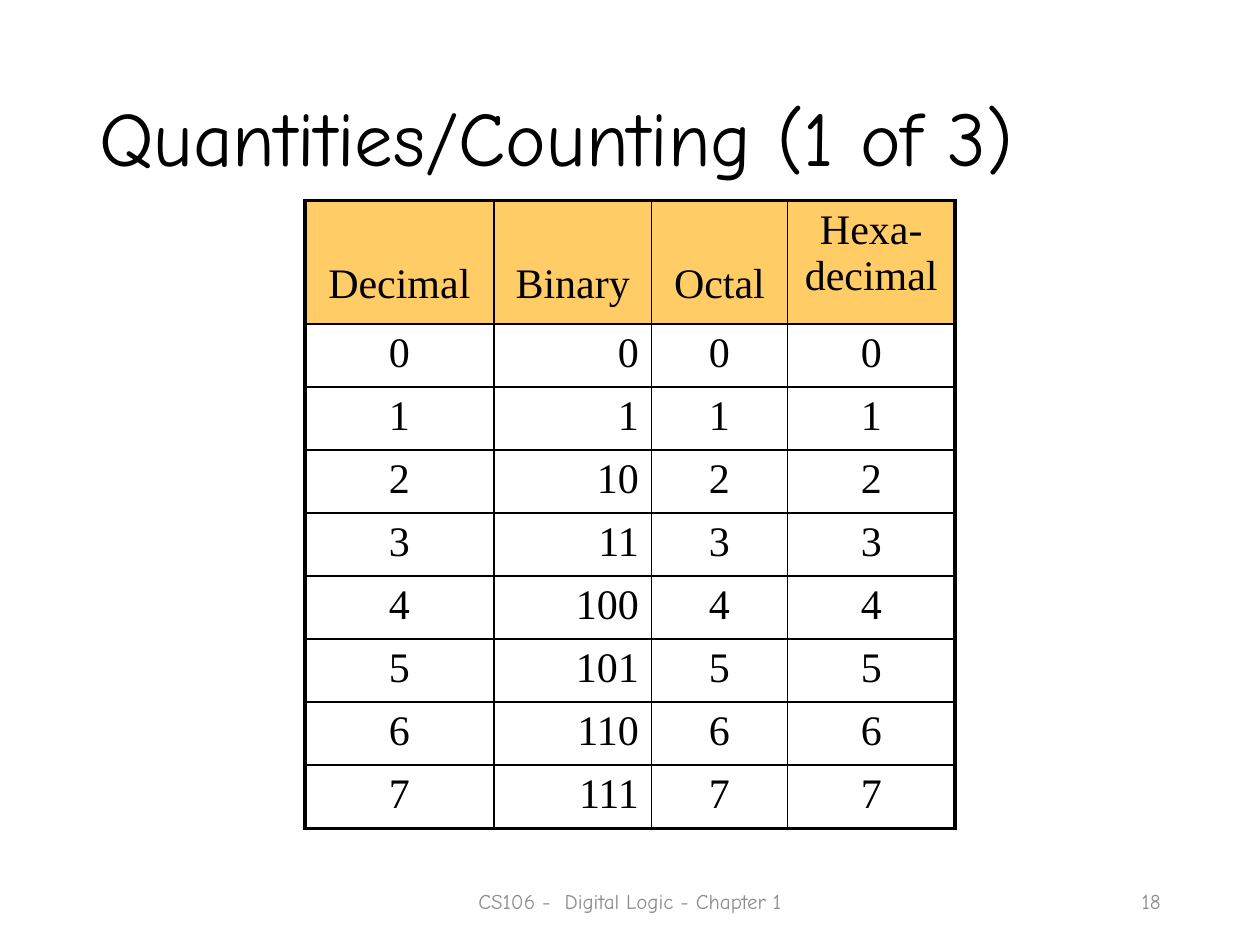
import lxml.etree
import pptx
import pptx.dml.color
import pptx.enum.text
import pptx.oxml.ns
import pptx.util

Inches = pptx.util.Inches
Align = pptx.enum.text.PP_ALIGN
Anchor = pptx.enum.text.MSO_ANCHOR


def color(hex_string):
    return pptx.dml.color.RGBColor.from_string(hex_string)


def write_text(frame, text, size, font="Comic Neue", fill="000000",
               align=Align.LEFT, line_spacing=1.0):
    """Fill the first paragraph of a text frame; a line feed breaks the line."""
    frame.word_wrap = True
    para = frame.paragraphs[0]
    para.text = text
    para.alignment = align
    para.line_spacing = line_spacing
    for span in para.runs:
        span.font.size = pptx.util.Pt(size)
        span.font.name = font
        span.font.color.rgb = color(fill)


deck = pptx.Presentation()
deck.slide_width = Inches(10)
deck.slide_height = Inches(7.5)
page = deck.slides.add_slide(deck.slide_layouts[6])

# Title and footer
footer = {"size": 12, "fill": "8C8C8C"}
text_boxes = [
    ((0.69, 0.4, 8.62, 1.45), "Quantities/Counting (1 of 3)",
     {"size": 44, "line_spacing": 0.9}),
    ((3.31, 6.95, 3.38, 0.4), "CS106 -  Digital Logic - Chapter 1",
     {**footer, "align": Align.CENTER}),
    ((7.06, 6.95, 2.25, 0.4), "18", {**footer, "align": Align.RIGHT}),
]
for place, text, text_format in text_boxes:
    box = page.shapes.add_textbox(*[Inches(length) for length in place])
    box.text_frame.vertical_anchor = Anchor.MIDDLE
    write_text(box.text_frame, text, **text_format)

# Counting table
column_widths = [1.5, 1.25, 1.08, 1.33]
row_heights = [0.98] + [0.5] * 8
rows = [["Decimal", "Binary", "Octal", "Hexa-\ndecimal"]]
rows += [[str(n), f"{n:b}", f"{n:o}", f"{n:X}"] for n in range(8)]
last_row, last_column = len(rows) - 1, len(column_widths) - 1

table = page.shapes.add_table(
    len(rows), len(column_widths), Inches(2.42), Inches(1.59),
    Inches(sum(column_widths)), Inches(sum(row_heights))).table
table.first_row = False
table.horz_banding = False
for column, width in zip(table.columns, column_widths):
    column.width = Inches(width)
for row, height in zip(table.rows, row_heights):
    row.height = Inches(height)

for r, values in enumerate(rows):
    for c, value in enumerate(values):
        cell = table.cell(r, c)
        is_header = r == 0
        is_binary_number = c == 1 and not is_header
        write_text(cell.text_frame, value, size=24, font="Times New Roman",
                   align=Align.RIGHT if is_binary_number else Align.CENTER)
        if is_header:
            cell.fill.solid()
            cell.fill.fore_color.rgb = color("FFCC66")
        else:
            cell.fill.background()
        if is_header and c < last_column:
            cell.vertical_anchor = Anchor.BOTTOM
            cell.margin_bottom = Inches(0.13)

        outer_edges = {"lnL": c == 0, "lnR": c == last_column,
                       "lnT": r == 0, "lnB": r == last_row}
        properties = cell._tc.get_or_add_tcPr()
        for position, (edge, is_outer) in enumerate(outer_edges.items()):
            line = lxml.etree.Element(
                pptx.oxml.ns.qn(f"a:{edge}"),
                w=str(pptx.util.Pt(2.25 if is_outer else 1)))
            line_fill = lxml.etree.SubElement(line, pptx.oxml.ns.qn("a:solidFill"))
            lxml.etree.SubElement(line_fill, pptx.oxml.ns.qn("a:srgbClr"), val="000000")
            properties.insert(position, line)

deck.save("out.pptx")
